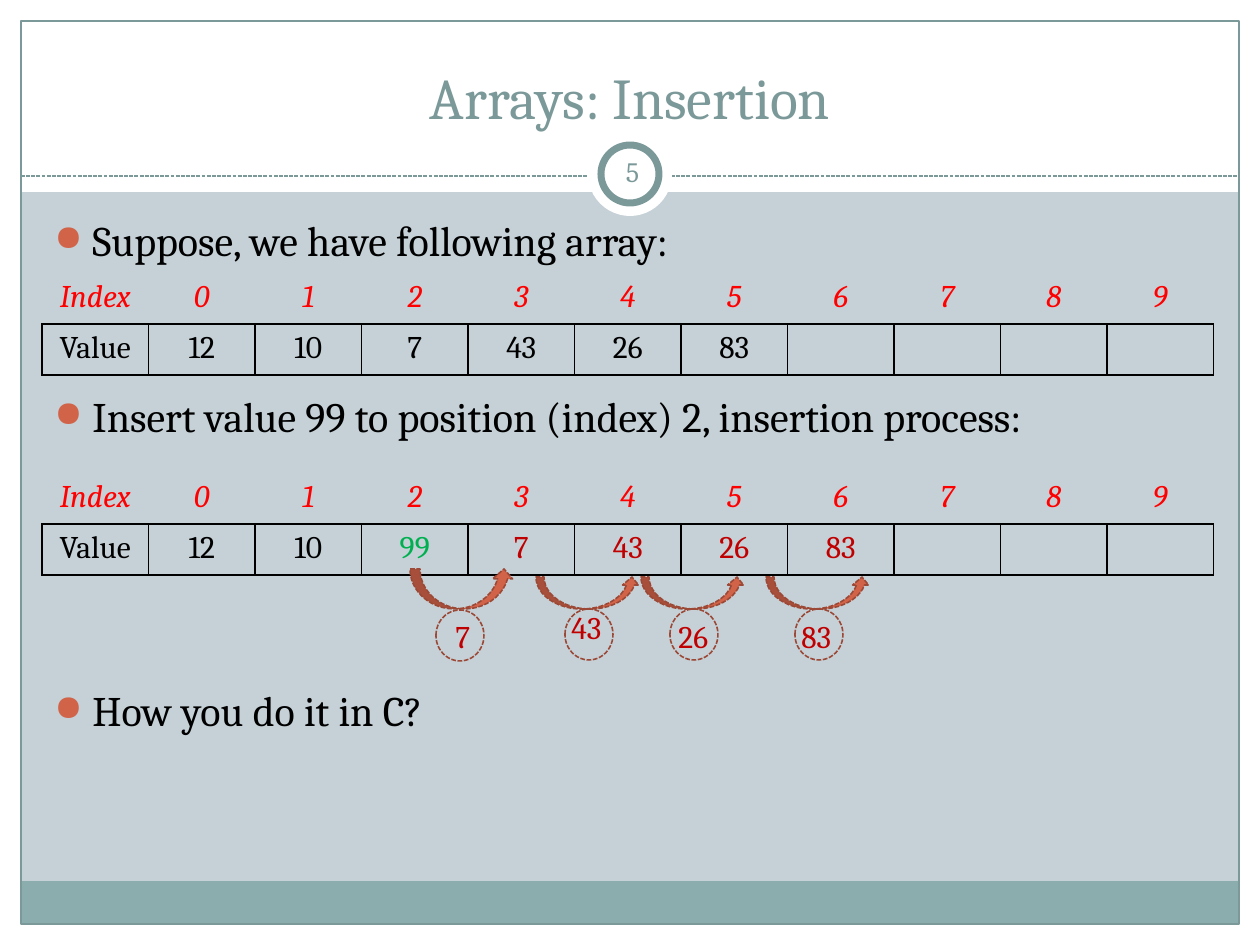
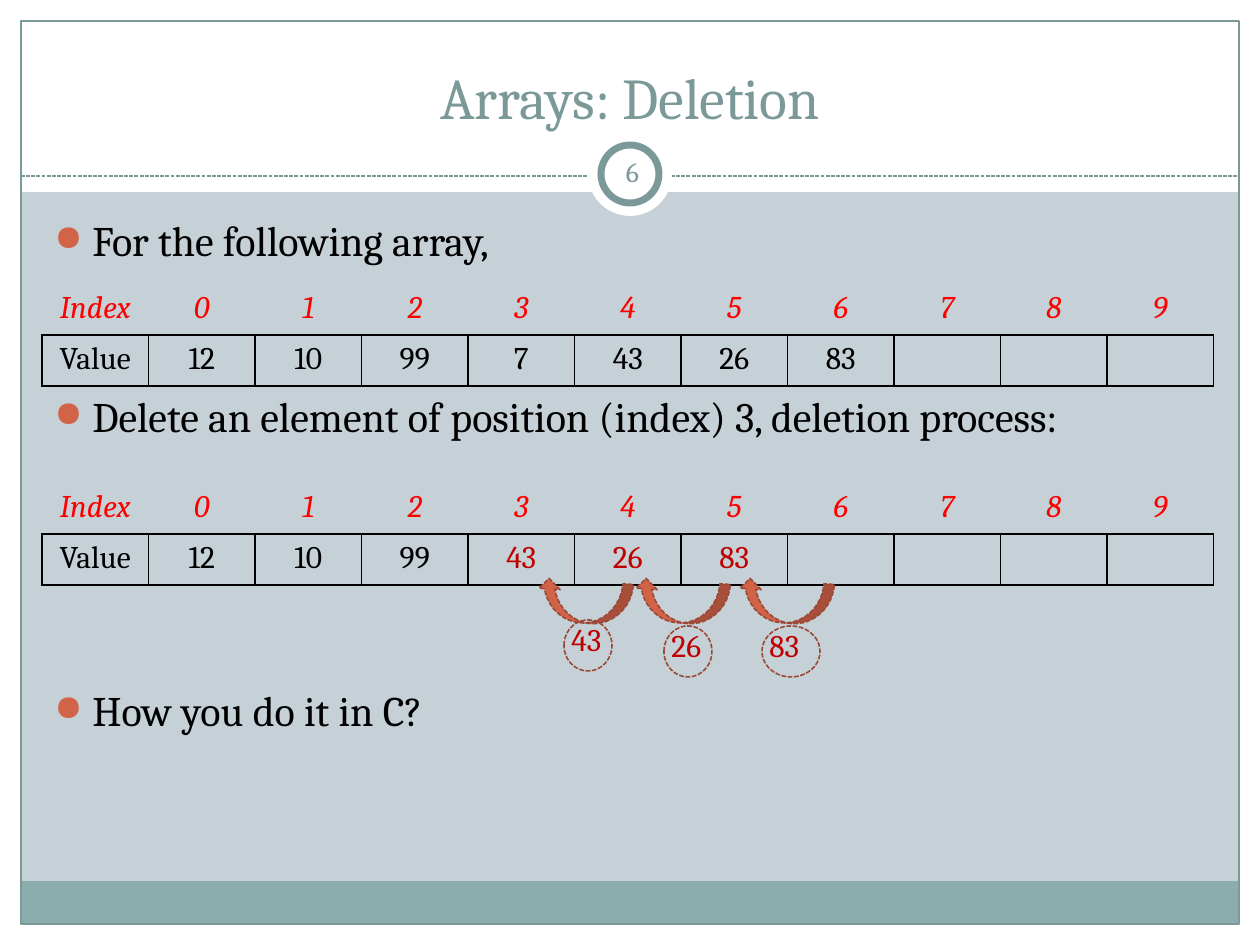
"""Build two slides on inserting into and deleting from an array."""
from lxml import etree
from pptx import Presentation
from pptx.dml.color import RGBColor
from pptx.enum.dml import MSO_LINE
from pptx.enum.shapes import MSO_CONNECTOR, MSO_SHAPE
from pptx.enum.text import MSO_ANCHOR, PP_ALIGN
from pptx.oxml.ns import qn
from pptx.util import Pt

RECT, OVAL = MSO_SHAPE.RECTANGLE, MSO_SHAPE.OVAL
ARROW_UP, ARROW_DOWN = MSO_SHAPE.CURVED_UP_ARROW, MSO_SHAPE.CURVED_DOWN_ARROW
STRAIGHT = MSO_CONNECTOR.STRAIGHT
DASH = MSO_LINE.SQUARE_DOT
TOP, MIDDLE, BOTTOM = MSO_ANCHOR.TOP, MSO_ANCHOR.MIDDLE, MSO_ANCHOR.BOTTOM
LEFT, CENTER = PP_ALIGN.LEFT, PP_ALIGN.CENTER

SCALE = 914400 / 126
WIDTH, HEIGHT = 1260, 945
MARGIN = 21
FONT = "Cambria"
COLORS = {
    "back": "C5D1D7", "white": "FFFFFF", "band": "8CADAE", "title": "7C999A",
    "text": "000000", "index": "FF0000", "moved": "C00000", "new": "00B050",
    "accent": "D16349", "outline": "9B4936",
}


def px(n):
    return round(n * SCALE)


def rgb(name):
    return RGBColor.from_string(COLORS[name])


class Deck:
    """Hold the style and the current slide, and draw each kind of element."""

    def __init__(self):
        self.prs = Presentation()
        self.prs.slide_width, self.prs.slide_height = px(WIDTH), px(HEIGHT)

    def add_slide(self, title, number):
        self.slide = self.prs.slides.add_slide(self.prs.slide_layouts[6])
        fill = self.slide.background.fill
        fill.solid()
        fill.fore_color.rgb = rgb("back")
        for box in ((0, HEIGHT - MARGIN, WIDTH, MARGIN), (0, 0, WIDTH, 192),
                    (0, 0, MARGIN, HEIGHT), (WIDTH - MARGIN, 0, MARGIN, HEIGHT)):
            self.shape(RECT, box, "white")
        inner = WIDTH - 2 * MARGIN
        self.shape(RECT, (MARGIN, 881, inner, 43), "band")
        self.shape(RECT, (MARGIN, MARGIN, inner, HEIGHT - 2 * MARGIN), line="title")
        self.rule(MARGIN, WIDTH - MARGIN, 176)
        self.shape(OVAL, (588, 132, 84, 84), "white")
        self.shape(OVAL, (601, 145, 58, 58), "white", "title", 4)
        self.text(title, (42, 32, 1176, 105), 33, "title", CENTER, BOTTOM)
        self.text(str(number), (601, 141, 63, 60), 16, "title", CENTER, MIDDLE, 6)

    def shape(self, kind, box, fill=None, line=None, width=0.75, dash=None):
        sp = self.slide.shapes.add_shape(kind, *map(px, box))
        sp.shadow.inherit = False
        if fill:
            sp.fill.solid()
            sp.fill.fore_color.rgb = rgb(fill)
        else:
            sp.fill.background()
        if line:
            self.stroke(sp.line, line, width, dash)
        else:
            sp.line.fill.background()
        return sp

    def stroke(self, line, color, width, dash=None):
        line.color.rgb = rgb(color)
        line.width = Pt(width)
        if dash:
            line.dash_style = dash

    def rule(self, x1, x2, y):
        cn = self.slide.shapes.add_connector(STRAIGHT, *map(px, (x1, y, x2, y)))
        self.stroke(cn.line, "title", 0.75, DASH)
        etree.SubElement(cn._element.spPr, qn("a:effectLst"))

    def style_text(self, p, text, size, color, align=LEFT, italic=False):
        p.text = text
        p.alignment = align
        for r in p.runs:
            r.font.name, r.font.size = FONT, Pt(size)
            r.font.color.rgb = rgb(color)
            r.font.italic = italic

    def text(self, text, box, size, color, align=LEFT, anchor=TOP, inset=None):
        tf = self.slide.shapes.add_textbox(*map(px, box)).text_frame
        tf.word_wrap = True
        tf.vertical_anchor = anchor
        if inset is not None:
            tf.margin_left = tf.margin_right = px(inset)
            tf.margin_top = tf.margin_bottom = px(inset)
        self.style_text(tf.paragraphs[0], text, size, color, align)

    def bullets(self, lines):
        tf = self.slide.shapes.add_textbox(*map(px, (42, 210, 1172, 630))).text_frame
        tf.word_wrap = True
        for i, (line, gap) in enumerate(zip(lines, (2, 72.5, 140))):
            p = tf.add_paragraph() if i else tf.paragraphs[0]
            self.style_text(p, line, 24, "text")
            p.space_before, p.line_spacing = Pt(gap), Pt(28)
            pPr = p._p.get_or_add_pPr()
            pPr.set("marL", str(px(38)))
            pPr.set("indent", str(px(-38)))
            color = etree.SubElement(pPr, qn("a:buClr"))
            etree.SubElement(color, qn("a:srgbClr"), val=COLORS["accent"])
            etree.SubElement(pPr, qn("a:buSzPct"), val="85000")
            etree.SubElement(pPr, qn("a:buChar"), char="●")

    def borders(self, cell, visible):
        tcPr = cell._tc.get_or_add_tcPr()
        for i, side in enumerate(("lnL", "lnR", "lnT", "lnB")):
            ln = etree.Element(qn("a:" + side), w=str(Pt(1)))
            if side in visible:
                fill = etree.SubElement(ln, qn("a:solidFill"))
                etree.SubElement(fill, qn("a:srgbClr"), val=COLORS["text"])
            else:
                etree.SubElement(ln, qn("a:noFill"))
            tcPr.insert(i, ln)

    def array(self, top, values, colors=()):
        colors = dict(colors)
        rows = (["Index", *range(10)], ["Value", *values] + [""] * (10 - len(values)))
        box = (42, top, 1172, 102)
        table = self.slide.shapes.add_table(2, 11, *map(px, box)).table
        table.first_row = table.horz_banding = False
        for column in table.columns:
            column.width = px(1172 / 11)
        for r, row in enumerate(rows):
            for c, value in enumerate(row):
                cell = table.cell(r, c)
                cell.fill.background()
                self.borders(cell, ("lnL", "lnR", "lnT", "lnB") if r else ("lnB",))
                color = colors.get(c - 1, "text") if r else "index"
                self.style_text(cell.text_frame.paragraphs[0], str(value), 18, color,
                                CENTER, italic=not r)

    def arrow(self, kind, box, rotation=0):
        sp = self.shape(kind, box, "accent", "outline", 0.9, DASH)
        sp.rotation = rotation

    def circle(self, box, text=""):
        sp = self.shape(OVAL, box, None, "outline", 0.9, DASH)
        if text:
            sp.text_frame.vertical_anchor = MIDDLE
            self.style_text(sp.text_frame.paragraphs[0], text, 18, "moved", CENTER)

    def label(self, text, x, y):
        self.text(text, (x, y, 72, 51), 18, "moved")


deck = Deck()

deck.add_slide("Arrays: Insertion", 5)
deck.bullets(["Suppose, we have following array:",
              "Insert value 99 to position (index) 2, insertion process:",
              "How you do it in C?"])
deck.array(273, [12, 10, 7, 43, 26, 83])
deck.array(473, [12, 10, 99, 7, 43, 26, 83],
           {2: "new", **dict.fromkeys(range(3, 7), "moved")})
deck.arrow(ARROW_UP, (410, 569, 104, 40))
deck.circle((436, 610, 48, 51), "7")
for value, x, label_x, label_y in (("43", 536, 559, 602), ("26", 641, 666, 611),
                                   ("83", 766, 789, 611)):
    deck.arrow(ARROW_UP, (x, 577, 104, 32))
    deck.circle((x + 29, 609, 48, 51))
    deck.label(value, label_x, label_y)

deck.add_slide("Arrays: Deletion", 6)
deck.bullets(["For the following array,",
              "Delete an element of position (index) 3, deletion process:",
              "How you do it in C?"])
deck.array(284, [12, 10, 99, 7, 43, 26, 83])
deck.array(483, [12, 10, 99, 43, 26, 83], dict.fromkeys(range(3, 6), "moved"))
for value, arrow_x, x, y, width in (("43", 537, 564, 620, 48), ("26", 634, 664, 626, 48),
                                    ("83", 738, 762, 626, 58)):
    deck.arrow(ARROW_DOWN, (arrow_x, 581, 95, 42), 184.2)
    deck.circle((x, y, width, 51))
    deck.label(value, x - 5, y - 6)

deck.prs.save("out.pptx")
